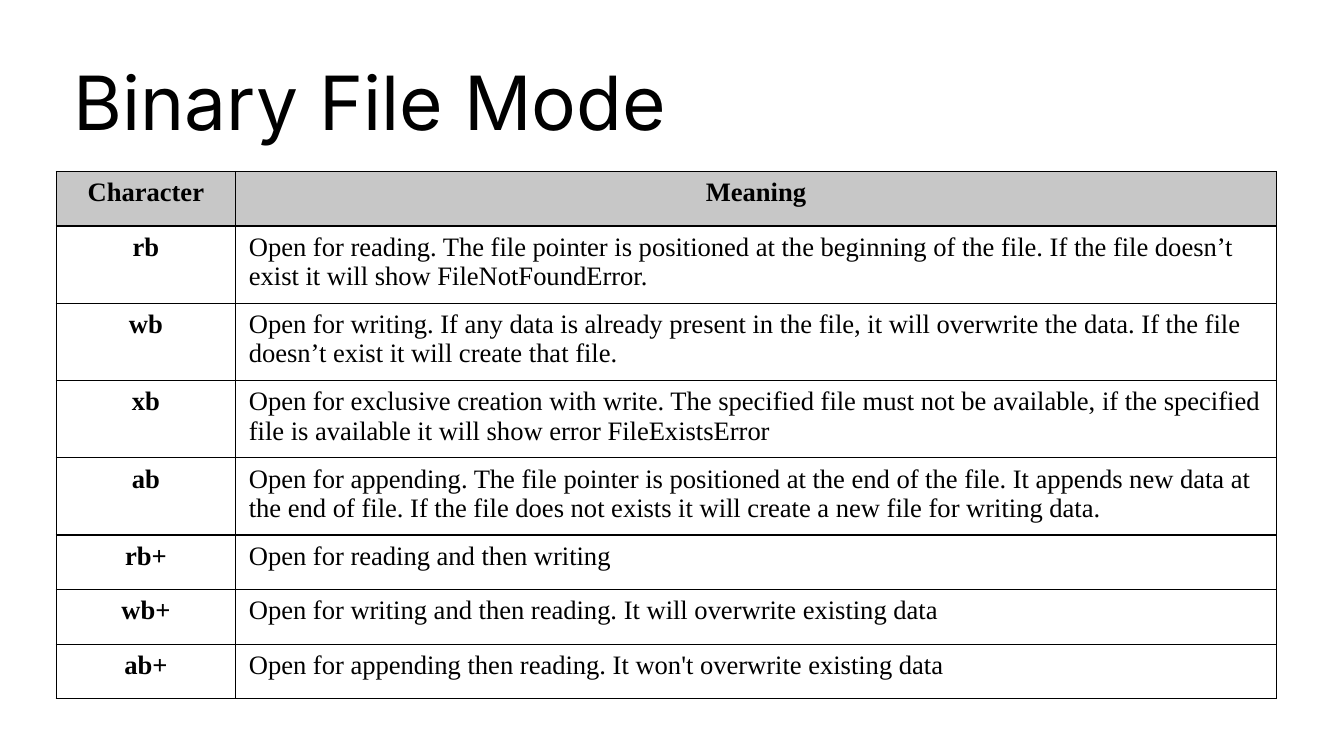
from lxml.etree import SubElement
from pptx import Presentation
from pptx.dml.color import RGBColor
from pptx.enum.text import MSO_ANCHOR, PP_ALIGN
from pptx.oxml.ns import qn
from pptx.util import Pt

COLORS = {"text": "000000", "border": "000000", "header": "C7C7C7"}

MODES = [
    ("rb", "Open for reading. The file pointer is positioned at the beginning of the file. "
           "If the file doesn’t exist it will show FileNotFoundError."),
    ("wb", "Open for writing. If any data is already present in the file, it will overwrite "
           "the data. If the file doesn’t exist it will create that file."),
    ("xb", "Open for exclusive creation with write. The specified file must not be available, "
           "if the specified file is available it will show error FileExistsError"),
    ("ab", "Open for appending. The file pointer is positioned at the end of the file. It "
           "appends new data at the end of file. If the file does not exists it will create "
           "a new file for writing data."),
    ("rb+", "Open for reading and then writing"),
    ("wb+", "Open for writing and then reading. It will overwrite existing data"),
    ("ab+", "Open for appending then reading. It won't overwrite existing data"),
]


def assign(obj, values):
    for name, value in values.items():
        setattr(obj, name, value)


class SlideBuilder:
    title_font = {"name": "Inter", "size": Pt(53.4), "bold": False}
    table_font = {"name": "Times New Roman", "size": Pt(19)}
    title_frame = {"word_wrap": True, "vertical_anchor": MSO_ANCHOR.TOP,
                   "margin_left": Pt(4.8), "margin_right": Pt(4.8),
                   "margin_top": Pt(4.8), "margin_bottom": Pt(4.8)}
    cell_frame = {"vertical_anchor": MSO_ANCHOR.TOP,
                  "margin_left": Pt(9.6), "margin_right": Pt(9.6),
                  "margin_top": Pt(4.8), "margin_bottom": Pt(4.8)}

    def __init__(self, slide):
        self.s = slide

    def text(self, tf, text, font, align=PP_ALIGN.LEFT, spacing=1.0):
        p = tf.paragraphs[0]
        assign(p, {"alignment": align, "line_spacing": spacing})
        r = p.add_run()
        r.text = text
        assign(r.font, font)
        r.font.color.rgb = RGBColor.from_string(COLORS["text"])

    def title(self, text, left, top, width, height):
        sp = self.s.shapes.add_textbox(Pt(left), Pt(top), Pt(width), Pt(height))
        assign(sp.text_frame, self.title_frame)
        self.text(sp.text_frame, text, self.title_font, spacing=0.9)

    def borders(self, cell):
        # Border lines come before the fill in the cell properties
        tcPr = cell._tc.get_or_add_tcPr()
        for i, side in enumerate(("lnL", "lnR", "lnT", "lnB")):
            ln = SubElement(tcPr, qn(f"a:{side}"), w=str(Pt(1)))
            tcPr.insert(i, ln)
            fill = SubElement(ln, qn("a:solidFill"))
            SubElement(fill, qn("a:srgbClr"), val=COLORS["border"])

    def cell(self, cell, text, header, key):
        assign(cell, self.cell_frame)
        if header:
            cell.fill.solid()
            cell.fill.fore_color.rgb = RGBColor.from_string(COLORS["header"])
        else:
            cell.fill.background()
        strong = header or key
        self.text(cell.text_frame, text, {**self.table_font, "bold": strong},
                  PP_ALIGN.CENTER if strong else PP_ALIGN.LEFT)
        self.borders(cell)

    def table(self, rows, left, top, widths, heights):
        frame = self.s.shapes.add_table(len(rows), len(widths), Pt(left), Pt(top),
                                        Pt(sum(widths)), Pt(sum(heights)))
        table = frame.table
        assign(table, {"first_row": False, "horz_banding": False})
        for column, width in zip(table.columns, widths):
            column.width = Pt(width)
        for row, height in zip(table.rows, heights):
            row.height = Pt(height)
        for i, texts in enumerate(rows):
            for j, text in enumerate(texts):
                self.cell(table.cell(i, j), text, header=i == 0, key=j == 0)


def main():
    prs = Presentation()
    assign(prs, {"slide_width": Pt(960), "slide_height": Pt(540)})
    s = SlideBuilder(prs.slides.add_slide(prs.slide_layouts[6]))

    # Title
    s.title("Binary File Mode", 48, 42.5, 864, 80)

    # Table of modes: two-line descriptions need taller rows
    rows = [("Character", "Meaning")] + MODES
    heights = [54.4 if len(meaning) > 80 else 39 for _, meaning in rows]
    s.table(rows, 40.2, 122.4, (128, 743.8), heights)

    prs.save("out.pptx")


if __name__ == "__main__":
    main()
